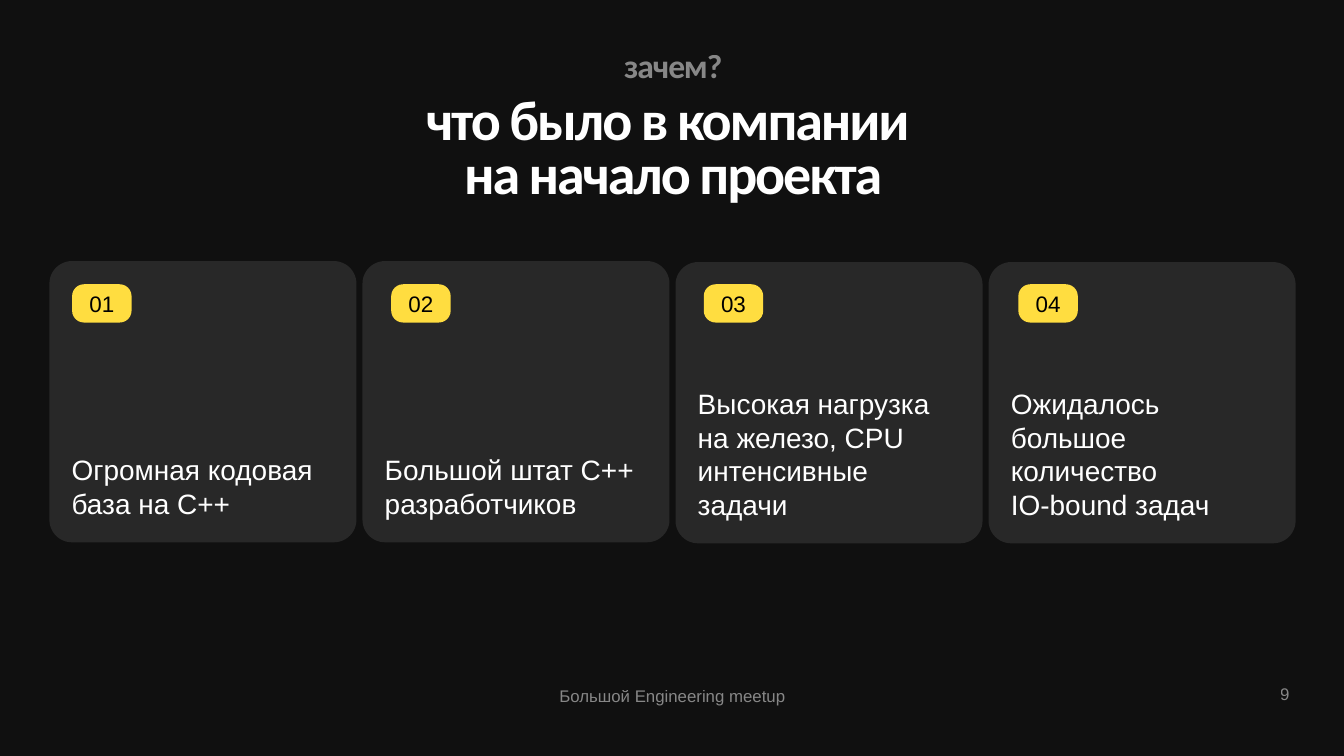
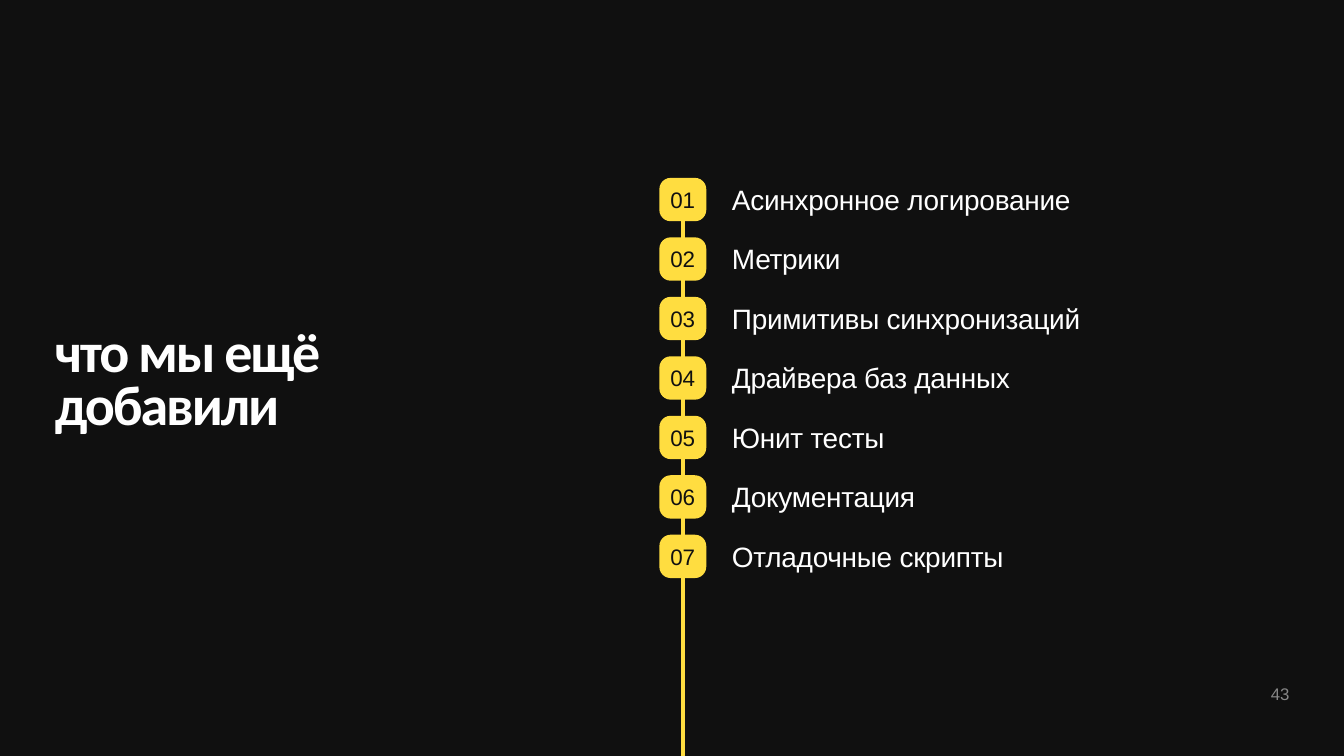
import pptx
import pptx.util
import pptx.dml.color
import pptx.enum.shapes
import pptx.enum.text
import pptx.oxml
import pptx.oxml.ns

Inches = pptx.util.Inches
Pt = pptx.util.Pt
ALIGN = pptx.enum.text.PP_ALIGN
ANCHOR = pptx.enum.text.MSO_ANCHOR
HUES = {"back": "101010", "card": "282828", "gold": "FFDD40", "white": "FFFFFF", "black": "000000"}
TITLE = dict(size=80, font="Calibri", bold=True, track=-3, lead=0.8, pad=(0, 0.22, 0, 0))
SMALL = dict(size=24, alpha=50)


def hue(name):
    return pptx.dml.color.RGBColor.from_string(HUES[name])


def write(shape, text, size=40, font="Arial", color="white", bold=False, track=0, alpha=100,
          align=ALIGN.LEFT, anchor=ANCHOR.TOP, lead=None, after=0, pad=(0, 0, 0, 0), wrap=True):
    frame = shape.text_frame
    frame.auto_size = pptx.enum.text.MSO_AUTO_SIZE.NONE
    frame.word_wrap = wrap
    frame.vertical_anchor = anchor
    frame.margin_left, frame.margin_top, frame.margin_right, frame.margin_bottom = map(Inches, pad)
    para = frame.paragraphs[0]
    para.text = text
    para.alignment = align
    para.line_spacing = lead
    para.space_before = Pt(0)
    para.space_after = Pt(after)
    if shape.is_placeholder:
        props = para._p.get_or_add_pPr()
        props.set("marL", "0")
        props.set("indent", "0")
        props.append(pptx.oxml.parse_xml(f'<a:buNone {pptx.oxml.ns.nsdecls("a")}/>'))
    for run in para.runs:
        run.font.size = Pt(size)
        run.font.name = font
        run.font.bold = bold
        run.font.color.rgb = hue(color)
        rpr = run._r.get_or_add_rPr()
        if track:
            rpr.set("spc", str(round(track * 100)))
        if alpha < 100:
            tint = rpr.find(".//" + pptx.oxml.ns.qn("a:srgbClr"))
            tint.append(pptx.oxml.parse_xml(
                f'<a:alpha {pptx.oxml.ns.nsdecls("a")} val="{alpha * 1000}"/>'))


def block(slide, box, fill, curve):
    shape = slide.shapes.add_shape(pptx.enum.shapes.MSO_SHAPE.ROUNDED_RECTANGLE, *map(Inches, box))
    shape.adjustments[0] = curve
    shape.shadow.inherit = False
    shape.fill.solid()
    shape.fill.fore_color.rgb = hue(fill)
    shape.line.fill.background()
    return shape


deck = pptx.Presentation()
deck.slide_width = Inches(26.66)
deck.slide_height = Inches(15)
ground = deck.slide_master.background.fill
ground.solid()
ground.fore_color.rgb = hue("back")

pages = []
for layout, number, text, left, top, align in [
    (1, "9", "что было в компании \vна начало проекта", 1.11, 1.71, ALIGN.CENTER),
    (5, "43", "что мы ещё \vдобавили", 1.09, 6.31, ALIGN.LEFT),
]:
    slide = deck.slides.add_slide(deck.slide_layouts[layout])
    title = slide.shapes.title
    title.left, title.top, title.width, title.height = map(Inches, (left, top, 24.49, 2.38))
    write(title, text, align=align, **TITLE)
    page = slide.shapes.add_textbox(*map(Inches, (22.64, 13.36, 2.94, 0.8)))
    write(page, number, align=ALIGN.RIGHT, anchor=ANCHOR.MIDDLE, pad=(0, 0.05, 0, 0.05), **SMALL)
    pages.append(slide)
start, extra = pages

lead = start.placeholders[1]
lead.left, lead.top, lead.width, lead.height = map(Inches, (1.11, 1.05, 24.49, 0.65))
write(lead, "зачем?", size=48, font="Calibri", bold=True, track=-1.5, alpha=50,
      align=ALIGN.CENTER, lead=0.8, after=6)
footer = start.shapes.add_textbox(*map(Inches, (5.69, 13.61, 15.29, 0.59)))
write(footer, "Большой Engineering meetup", align=ALIGN.CENTER, after=6, **SMALL)

cards = [
    ("Огромная кодовая база на C++", 5.18, 1.43),
    ("Большой штат C++ разработчиков", 5.18, 7.76),
    ("Высокая нагрузка \vна железо, CPU интенсивные задачи", 5.2, 13.96),
    ("Ожидалось большое количество \vIO-bound задач", 5.2, 20.2),
]
for i, (text, top, left) in enumerate(cards):
    card = block(start, (0.98 + 6.21 * i, top, 6.09, 5.58), "card", 0.08)
    write(card, text, anchor=ANCHOR.BOTTOM, pad=(0.31,) * 4)
    chip = block(start, (left, 5.64, 1.18, 0.76), "gold", 0.31)
    write(chip, f"{i + 1:02}", size=32, color="black", align=ALIGN.CENTER,
          anchor=ANCHOR.MIDDLE, after=6, pad=(0.1, 0.05, 0.1, 0.05), wrap=False)

spine = extra.shapes.add_connector(
    pptx.enum.shapes.MSO_CONNECTOR.STRAIGHT, *map(Inches, (13.55, 3.96, 13.55, 15)))
spine.line.color.rgb = hue("gold")
spine.line.width = Pt(5)
spine._element.spPr.append(pptx.oxml.parse_xml(f'<a:effectLst {pptx.oxml.ns.nsdecls("a")}/>'))

steps = [
    "Асинхронное логирование",
    "Метрики",
    "Примитивы синхронизаций",
    "Драйвера баз данных",
    "Юнит тесты",
    "Документация",
    "Отладочные скрипты",
]
for i, text in enumerate(steps):
    top = 3.53 + 1.18 * i
    chip = block(extra, (13.08, top, 0.93, 0.86), "gold", 0.26)
    write(chip, f"{i + 1:02}", size=32, color="back", track=-0.3, align=ALIGN.CENTER,
          anchor=ANCHOR.MIDDLE, pad=(0.1, 0.05, 0.1, 0.05))
    label = extra.shapes.add_textbox(*map(Inches, (14.52, top + 0.2, 8.7, 0.56)))
    write(label, text, track=-0.4, lead=Pt(40))

deck.save("out.pptx")
